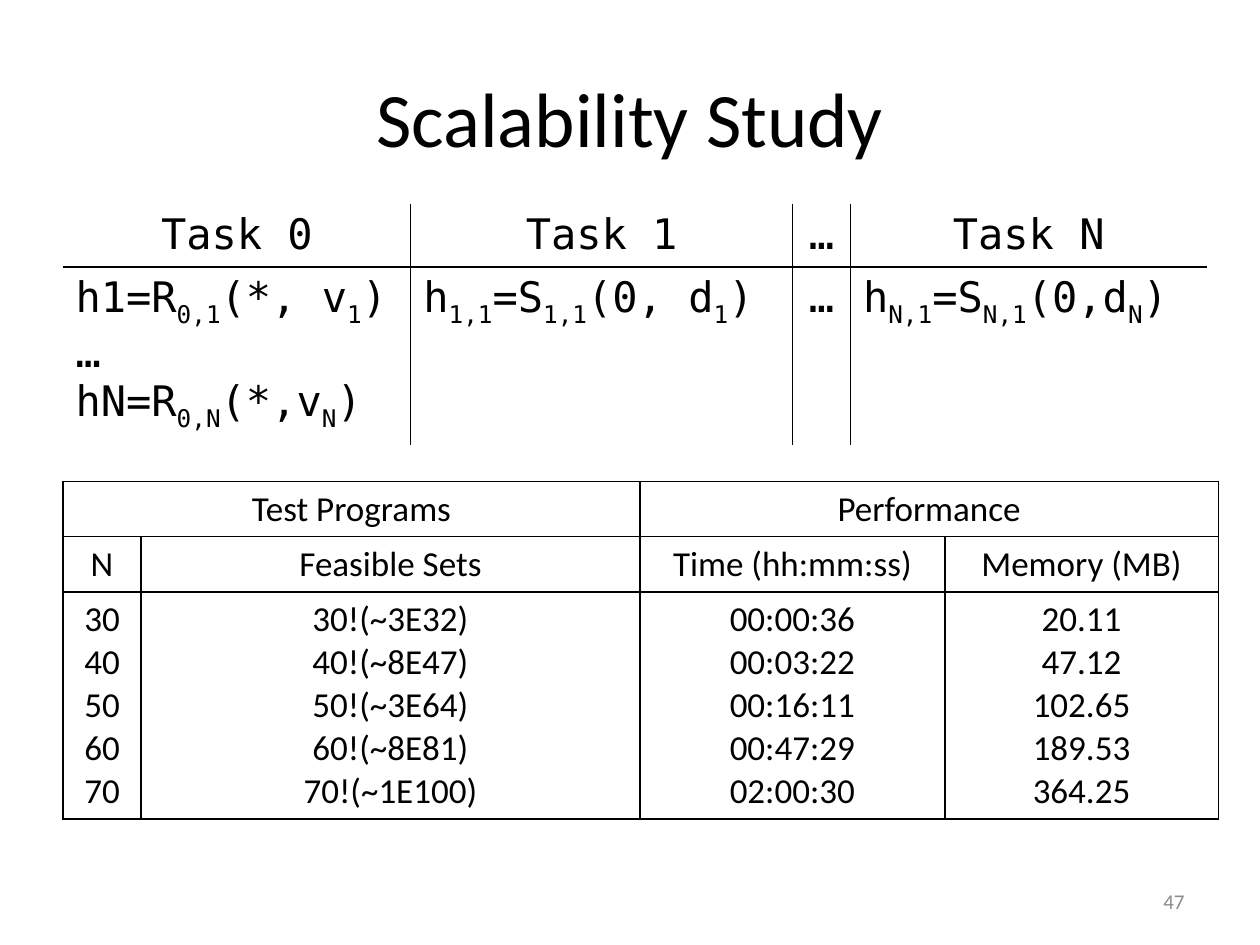
from lxml import etree
from pptx import Presentation
from pptx.dml.color import RGBColor
from pptx.enum import text
from pptx.oxml import ns
from pptx.util import Inches, Pt

THEME = {
    "sans": "Calibri", "mono": "DejaVu Sans Mono",
    "ink": "000000", "muted": "8C8C8C", "paper": "FFFFFF",
    "title": 44, "code": 24, "results": 20, "number": 12, "rule": 1,
}
SUBSCRIPT_MARK = "|"
LEFT, CENTER, RIGHT = text.PP_ALIGN.LEFT, text.PP_ALIGN.CENTER, text.PP_ALIGN.RIGHT

TITLE = "Scalability Study"
PAGE_NUMBER = "47"

TASKS = {
    "at": (0.5, 1.62), "columns": (2.76, 3.03, 0.46, 2.83), "rows": (0.48, 1.36),
    "font": "mono", "size": "code", "framed": False, "spans": (),
    "cells": [
        [["Task 0"], ["Task 1"], ["…"], ["Task N"]],
        [
            ["h1=R|0,1|(*, v|1|)", "…", "hN=R|0,N|(*,v|N|)"],
            ["h|1,1|=S|1,1|(0, d|1|)"],
            ["…"],
            ["h|N,1|=S|N,1|(0,d|N|)"],
        ],
    ],
    "left_aligned": {(1, 0), (1, 1), (1, 3)},
}

RESULTS = {
    "at": (0.5, 3.82), "columns": (0.62, 3.96, 2.42, 2.17), "rows": (0.44, 0.44, 1.8),
    "font": "sans", "size": "results", "framed": True,
    "spans": (((0, 0), (0, 1)), ((0, 2), (0, 3))),
    "cells": [
        [["Test Programs"], [], ["Performance"], []],
        [["N"], ["Feasible Sets"], ["Time (hh:mm:ss)"], ["Memory (MB)"]],
        [
            ["30", "40", "50", "60", "70"],
            ["30!(~3E32)", "40!(~8E47)", "50!(~3E64)", "60!(~8E81)", "70!(~1E100)"],
            ["00:00:36", "00:03:22", "00:16:11", "00:47:29", "02:00:30"],
            ["20.11", "47.12", "102.65", "189.53", "364.25"],
        ],
    ],
    "left_aligned": set(),
}


def write(frame, lines, font, size, color="ink", align=CENTER):
    for index, line in enumerate(lines):
        paragraph = frame.paragraphs[0] if index == 0 else frame.add_paragraph()
        paragraph.alignment = align
        paragraph.font.name = THEME[font]
        paragraph.font.size = Pt(THEME[size])
        paragraph.font.bold = False
        paragraph.font.color.rgb = RGBColor.from_string(THEME[color])
        for position, piece in enumerate(line.split(SUBSCRIPT_MARK)):
            run = paragraph.add_run()
            run.text = piece
            if position % 2:
                run._r.get_or_add_rPr().set("baseline", "-25000")


def add_text(slide, box, line, size, color, align):
    shape = slide.shapes.add_textbox(*map(Inches, box))
    frame = shape.text_frame
    frame.word_wrap = True
    frame.vertical_anchor = text.MSO_ANCHOR.MIDDLE
    write(frame, [line], "sans", size, color, align)


def set_borders(cell, edges):
    properties = cell._tc.get_or_add_tcPr()
    for index, (side, visible) in enumerate(edges.items()):
        line = etree.Element(ns.qn(f"a:ln{side}"), w=str(Pt(THEME["rule"])))
        if visible:
            fill = etree.SubElement(line, ns.qn("a:solidFill"))
            etree.SubElement(fill, ns.qn("a:srgbClr"), val=THEME["ink"])
        else:
            etree.SubElement(line, ns.qn("a:noFill"))
        properties.insert(index, line)


def add_grid(slide, grid):
    columns, rows = grid["columns"], grid["rows"]
    size = (sum(columns), sum(rows))
    table = slide.shapes.add_table(
        len(rows), len(columns), *map(Inches, grid["at"] + size)
    ).table
    table.first_row = table.horz_banding = False
    for column, width in zip(table.columns, columns):
        column.width = Inches(width)
    for row, height in zip(table.rows, rows):
        row.height = Inches(height)
    for start, end in grid["spans"]:
        table.cell(*start).merge(table.cell(*end))
    framed = grid["framed"]
    for r, row in enumerate(grid["cells"]):
        for c, lines in enumerate(row):
            cell = table.cell(r, c)
            cell.fill.background()
            set_borders(cell, {
                "L": framed or c > 0,
                "R": framed or c < len(columns) - 1,
                "T": framed or r > 0,
                "B": framed or r < len(rows) - 1,
            })
            align = LEFT if (r, c) in grid["left_aligned"] else CENTER
            write(cell.text_frame, lines, grid["font"], grid["size"], align=align)


def main():
    presentation = Presentation()
    presentation.slide_width, presentation.slide_height = Inches(10), Inches(7.5)
    slide = presentation.slides.add_slide(presentation.slide_layouts[6])
    slide.background.fill.solid()
    slide.background.fill.fore_color.rgb = RGBColor.from_string(THEME["paper"])
    add_text(slide, (0.5, 0.3, 9, 1.25), TITLE, "title", "ink", CENTER)
    add_text(slide, (7.17, 6.95, 2.33, 0.4), PAGE_NUMBER, "number", "muted", RIGHT)
    for grid in (TASKS, RESULTS):
        add_grid(slide, grid)
    presentation.save("out.pptx")


if __name__ == "__main__":
    main()
